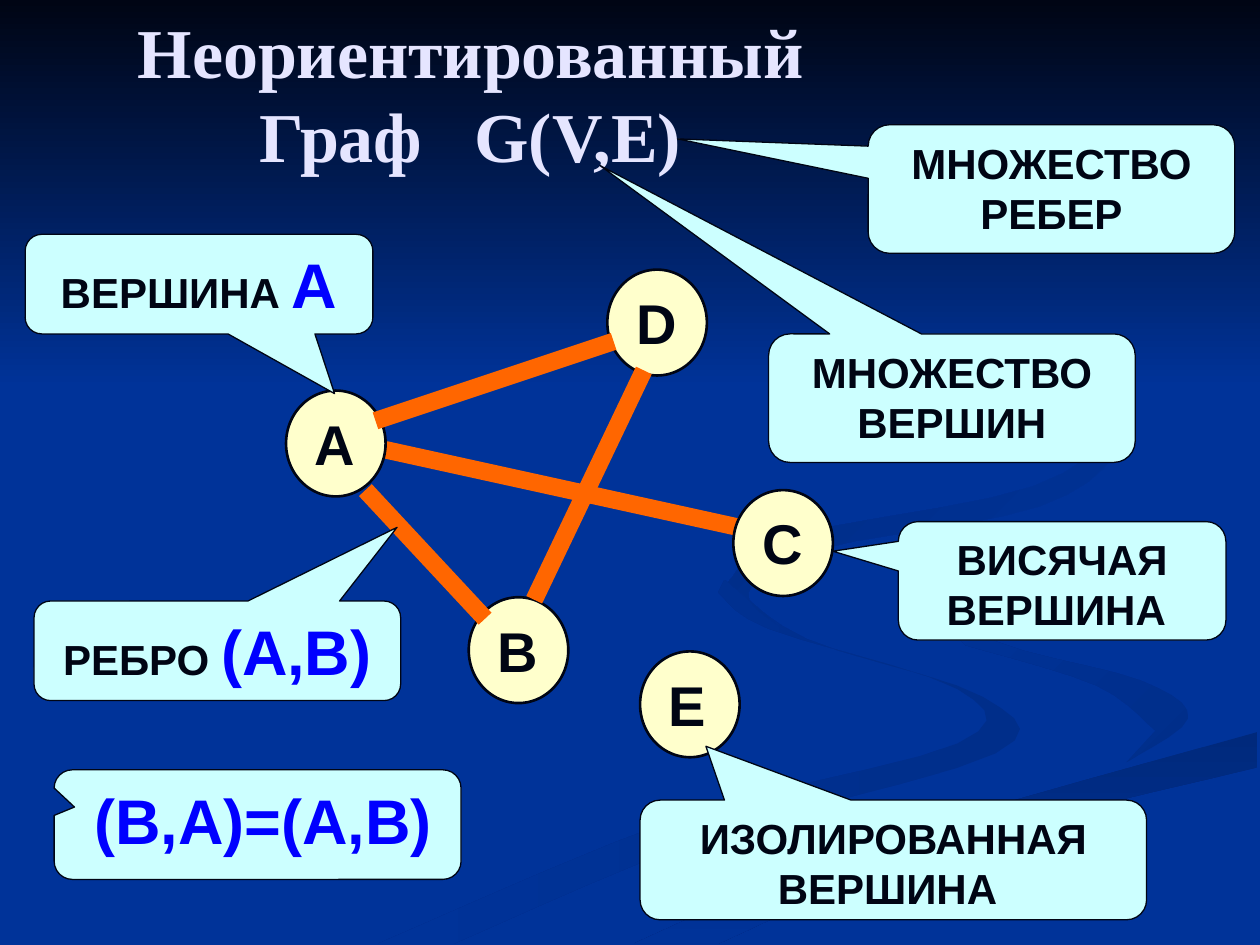
from lxml import etree
from pptx import Presentation
from pptx import util as u
from pptx.dml.color import RGBColor
from pptx.enum import shapes, text
from pptx.oxml.ns import qn

COLORS = {
    "back": "003399", "night": "000514", "title": "E5E5FF", "node": "FFFFCC",
    "edge": "FF6600", "callout": "CCFFFF", "ink": "000514", "math": "0000FF",
    "dusk": "002E8A", "shade": "00297C", "ribbon": "002B81",
}
NODE_W, NODE_H = 0.79, 0.84
STEPS = 5

SWIRLS = [
    ("dusk", "back", 180,
     [(5.75, 4.6), (6.4, 5.07), (7.8, 5.53), (7.9, 5.98), (5.6, 6.65), (3.6, 7.49)],
     [(3, 7.49), (5.4, 6.49), (7.6, 5.9), (7.6, 5.47), (6.1, 4.99), (5.7, 4.7)]),
    ("dusk", "back", 225,
     [(7.24, 4.64), (7.9, 5.09), (9.05, 5.4), (9.43, 5.7), (8.94, 6.05)],
     [(9.17, 5.8), (8.7, 5.44), (7.66, 5.12)]),
    ("shade", "back", 90,
     [(5.03, 7.49), (6.3, 6.93), (7.65, 6.47), (9.98, 5.81)],
     [(9.98, 6.09), (7.5, 6.72), (5.7, 7.49)]),
    ("back", "ribbon", 225,
     [(7.62, 2.33), (8.64, 2.91), (8.9, 3.5), (8.25, 4.02), (6.5, 4.36), (5.94, 4.7), (6.22, 5)],
     [(5.78, 4.62), (6.25, 4.26), (8.2, 3.86), (8.88, 3.3), (8.46, 2.79)]),
]
NODES = [("A", 2.27, 3.1), ("B", 3.72, 4.74), ("D", 4.82, 2.14),
         ("C", 5.82, 3.89), ("E", 5.08, 5.17)]
EDGE_AC = (3.06, 3.57, 6.02, 4.22)
EDGES = [(2.98, 3.34, 4.87, 2.71), (2.9, 3.89, 3.85, 4.91), (4.24, 4.76, 5.11, 2.94)]
CALLOUTS = [
    ((0.2, 1.86, 2.76, 0.79), (0.39, 1.1), "ВЕРШИНА ", "А"),
    ((0.43, 6.11, 3.23, 0.87), (-0.45, -0.16), " ", "(B,A)=(A,B)"),
    ((6.1, 2.65, 2.91, 1.02), (-0.96, -1.81), "МНОЖЕСТВО ВЕРШИН", ""),
    ((6.89, 0.99, 2.91, 1.02), (-1.02, -0.39), "МНОЖЕСТВО РЕБЕР", ""),
    ((0.27, 4.77, 2.91, 0.79), (0.49, -1.24), "РЕБРО ", "(A,B)"),
    ((5.08, 6.35, 4.02, 0.95), (-0.37, -0.95), "ИЗОЛИРОВАННАЯ ВЕРШИНА ", ""),
    ((7.13, 4.14, 2.6, 0.94), (-0.7, -0.25), "ВИСЯЧАЯ ВЕРШИНА ", ""),
]


def rgb(name):
    return RGBColor.from_string(COLORS[name])


def inches(*values):
    return [u.Inches(v) for v in values]


def smooth(points):
    padded = [points[0], *points, points[-1]]
    curve = []
    for a, b, c, d in zip(padded, padded[1:], padded[2:], padded[3:]):
        for step in range(STEPS):
            t = step / STEPS
            curve.append(tuple(
                q + t * (r - p + t * (2 * p - 5 * q + 4 * r - s
                                      + t * (3 * q - p - 3 * r + s))) / 2
                for p, q, r, s in zip(a, b, c, d)))
    return curve + [points[-1]]


class GraphSlide:
    def __init__(self, prs):
        self.s = prs.slides.add_slide(prs.slide_layouts[5])
        fill = self.s.background.fill
        fill.solid()
        fill.fore_color.rgb = rgb("back")

    def run(self, p, words, size, color="ink", font="Arial"):
        r = p.add_run()
        r.text = words
        r.font.size, r.font.name, r.font.bold = u.Pt(size), font, True
        r.font.color.rgb = rgb(color)

    def shape(self, kind, box, fill, width):
        sp = self.s.shapes.add_shape(kind, *inches(*box))
        sp.shadow.inherit = False
        sp.fill.solid()
        sp.fill.fore_color.rgb = rgb(fill)
        sp.line.color.rgb = rgb("ink")
        sp.line.width = u.Pt(width)
        return sp

    def blend(self, sp, start, end, angle):
        sp.shadow.inherit = False
        sp.line.fill.background()
        sp.fill.gradient()
        sp.fill.gradient_angle = 360 - angle
        for stop, name, position in zip(sp.fill.gradient_stops, (start, end), (0, 1)):
            stop.color.rgb = rgb(name)
            stop.position = position

    def swirl(self, start, end, angle, outer, inner):
        points = smooth(outer) + smooth(inner)
        fb = self.s.shapes.build_freeform(*inches(*points[0]), scale=1.0)
        fb.add_line_segments([inches(*pt) for pt in points[1:]], close=True)
        self.blend(fb.convert_to_shape(), start, end, angle)

    def sky(self, box):
        sp = self.s.shapes.add_shape(shapes.MSO_SHAPE.RECTANGLE, *inches(*box))
        self.blend(sp, "night", "back", 90)

    def title(self, words, box):
        sp = self.s.shapes.title
        sp.left, sp.top, sp.width, sp.height = inches(*box)
        tf = sp.text_frame
        tf.word_wrap, tf.auto_size = True, text.MSO_AUTO_SIZE.NONE
        tf.vertical_anchor = text.MSO_ANCHOR.MIDDLE
        p = tf.paragraphs[0]
        p.alignment = text.PP_ALIGN.CENTER
        self.run(p, words, 40, "title", "Times New Roman")
        tree = self.s.shapes.element
        tree.remove(sp.element)
        tree.append(sp.element)

    def edge(self, ends):
        cx = self.s.shapes.add_connector(shapes.MSO_CONNECTOR.STRAIGHT, *inches(*ends))
        cx.line.color.rgb = rgb("edge")
        cx.line.width = u.Pt(10)
        etree.SubElement(cx.element.spPr, qn("a:effectLst"))

    def node(self, name, x, y):
        self.shape(shapes.MSO_SHAPE.OVAL, (x, y, NODE_W, NODE_H), "node", 1.5)
        tb = self.s.shapes.add_textbox(*inches(x + 0.13, y + 0.1, NODE_W, 0.64))
        tb.text_frame.word_wrap = True
        self.run(tb.text_frame.paragraphs[0], name, 32)

    def callout(self, box, tip, words, math):
        sp = self.shape(shapes.MSO_SHAPE.ROUNDED_RECTANGULAR_CALLOUT, box, "callout", 0.75)
        sp.adjustments[0], sp.adjustments[1] = tip
        tf = sp.text_frame
        tf.word_wrap = True
        tf.vertical_anchor = text.MSO_ANCHOR.TOP
        p = tf.paragraphs[0]
        p.alignment = text.PP_ALIGN.CENTER
        self.run(p, words, 24)
        if math:
            self.run(p, math, 36, "math")


def main():
    prs = Presentation()
    prs.slide_width, prs.slide_height = inches(10, 7.5)
    g = GraphSlide(prs)
    for swirl in SWIRLS:
        g.swirl(*swirl)
    g.sky((0, 0, 10, 3.08))
    g.edge(EDGE_AC)
    g.title("Неориентированный Граф   G(V,E)", (0.35, 0, 6.77, 1.47))
    for node in NODES:
        g.node(*node)
    for ends in EDGES:
        g.edge(ends)
    for callout in CALLOUTS:
        g.callout(*callout)
    prs.save("out.pptx")


if __name__ == "__main__":
    main()
